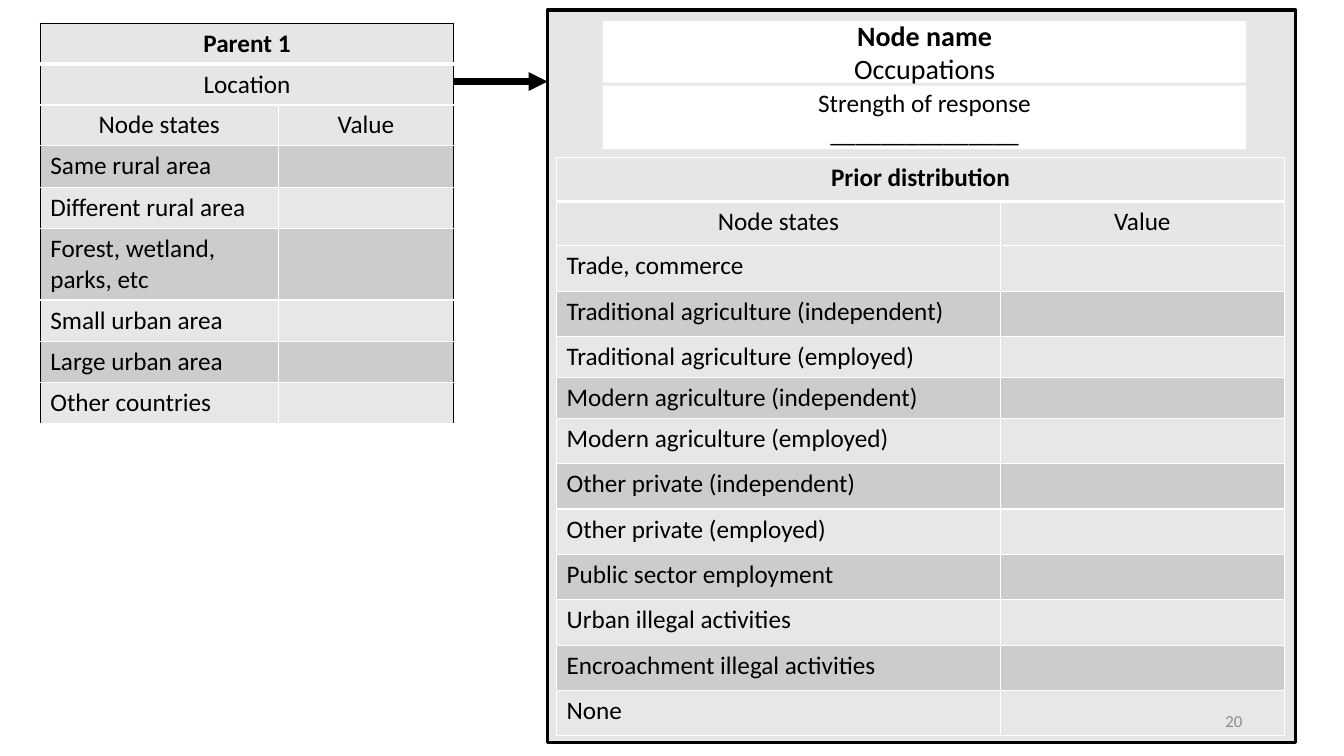
"""Build the slide of the Occupations node with its parent and prior tables."""
from dataclasses import dataclass

from lxml.etree import SubElement
from pptx import Presentation
from pptx.dml.color import RGBColor
from pptx.enum.shapes import MSO_CONNECTOR, MSO_SHAPE
from pptx.enum.text import MSO_ANCHOR, PP_ALIGN
from pptx.oxml.ns import qn
from pptx.util import Inches, Pt

BLACK, WHITE, PANEL = "000000", "FFFFFF", "E7E6E6"
LIGHT, DARK = "E7E7E7", "CCCCCC"


@dataclass
class Line:
    text: str
    size: float = 18
    bold: bool = False
    color: str = BLACK
    align: PP_ALIGN = PP_ALIGN.CENTER


@dataclass
class Box:
    left: float
    top: float
    width: float
    height: float
    lines: tuple[Line, ...] = ()
    fill: str = WHITE
    outline: float = 0


@dataclass
class NodeTable:
    left: float
    top: float
    cols: tuple[float, ...]
    rows: list[float]
    titles: tuple[str, ...]
    states: tuple[str, ...]
    bands: tuple[str, str]
    edge: str


BOXES = (
    Box(5.43, 0.1, 7.42, 7.27, fill=PANEL, outline=2.25),
    Box(5.98, 0.85, 6.38, 0.63, (Line("Strength of response"), Line("_______________"))),
    Box(5.98, 0.21, 6.38, 0.61, (Line("Node name", 20, True), Line("Occupations", 20))),
)
PARENT = NodeTable(
    0.4, 0.23, (2.36, 1.74), [0.36] * 3 + [0.41] * 6, ("Parent 1", "Location"),
    ("Same rural area", "Different rural area", "Forest, wetland, parks, etc",
     "Small urban area", "Large urban area", "Other countries"),
    (DARK, LIGHT), BLACK)
PRIOR = NodeTable(
    5.52, 1.56, (4.4, 2.82), [0.44] * 2 + [0.45] * 2 + [0.39] * 2 + [0.45] * 7,
    ("Prior distribution",),
    ("Trade, commerce", "Traditional agriculture (independent)",
     "Traditional agriculture (employed)", "Modern agriculture (independent)",
     "Modern agriculture (employed)", "Other private (independent)",
     "Other private (employed)", "Public sector employment",
     "Urban illegal activities", "Encroachment illegal activities", "None"),
    (LIGHT, DARK), WHITE)


def rgb(value: str) -> RGBColor:
    return RGBColor.from_string(value)


def write(tf, lines: tuple[Line, ...]) -> None:
    for i, line in enumerate(lines):
        p = tf.add_paragraph() if i else tf.paragraphs[0]
        p.alignment = line.align
        r = p.add_run()
        r.text = line.text
        r.font.name = "Calibri"
        r.font.size = Pt(line.size)
        r.font.bold = line.bold
        r.font.color.rgb = rgb(line.color)


def add_box(s, box: Box) -> None:
    sp = s.shapes.add_shape(MSO_SHAPE.RECTANGLE, Inches(box.left), Inches(box.top),
                            Inches(box.width), Inches(box.height))
    sp.shadow.inherit = False
    sp.fill.solid()
    sp.fill.fore_color.rgb = rgb(box.fill)
    if box.outline:
        sp.line.color.rgb = rgb(BLACK)
        sp.line.width = Pt(box.outline)
    else:
        sp.line.fill.background()
    sp.text_frame.vertical_anchor = MSO_ANCHOR.MIDDLE
    write(sp.text_frame, box.lines)


def add_arrow(s, x1: float, y1: float, x2: float, y2: float) -> None:
    sp = s.shapes.add_connector(MSO_CONNECTOR.ELBOW, Inches(x1), Inches(y1),
                                Inches(x2), Inches(y2))
    sp.line.color.rgb = rgb(BLACK)
    sp.line.width = Pt(4.5)
    SubElement(sp.line._get_or_add_ln(), qn("a:tailEnd"), type="triangle")
    SubElement(sp._element.spPr, qn("a:effectLst"))


def set_border(cell, side: str, color: str, width: float = 1) -> None:
    ln = SubElement(cell._tc.get_or_add_tcPr(), qn(f"a:ln{side}"), w=str(Pt(width)))
    fill = SubElement(ln, qn("a:solidFill"))
    SubElement(fill, qn("a:srgbClr"), val=color)


def add_node_table(s, node: NodeTable) -> None:
    table = s.shapes.add_table(
        len(node.rows), len(node.cols), Inches(node.left), Inches(node.top),
        Inches(sum(node.cols)), Inches(sum(node.rows))).table
    table.first_row = table.horz_banding = False
    for column, width in zip(table.columns, node.cols):
        column.width = Inches(width)
    for row, height in zip(table.rows, node.rows):
        row.height = Inches(height)

    heads = len(node.titles) + 1
    texts = [(title, "") for title in node.titles]
    texts += [("Node states", "Value")] + [(state, "") for state in node.states]
    for i, row in enumerate(texts):
        for j, text in enumerate(row):
            cell = table.cell(i, j)
            set_border(cell, "L", WHITE if j else node.edge)
            set_border(cell, "R", node.edge if j else WHITE)
            set_border(cell, "T", WHITE if i else node.edge, 3 if i == 1 else 1)
            set_border(cell, "B", WHITE, 1 if i else 3)
            cell.fill.solid()
            cell.fill.fore_color.rgb = rgb(PANEL if i < heads else node.bands[(i - heads) % 2])
            if text:
                align = PP_ALIGN.CENTER if i < heads else PP_ALIGN.LEFT
                write(cell.text_frame, (Line(text, bold=i == 0, align=align),))
    for i in range(len(node.titles)):
        table.cell(i, 0).merge(table.cell(i, 1))
        set_border_right(table.cell(i, 0), node.edge)


def set_border_right(cell, color: str) -> None:
    for clr in cell._tc.tcPr.find(qn("a:lnR")).iter(qn("a:srgbClr")):
        clr.set("val", color)


def add_page_number(s, number: str) -> None:
    sp = s.shapes.add_textbox(Inches(9.42), Inches(6.95), Inches(3), Inches(0.4))
    tf = sp.text_frame
    tf.word_wrap = True
    tf.vertical_anchor = MSO_ANCHOR.MIDDLE
    write(tf, (Line(number, 12, color="8C8C8C", align=PP_ALIGN.RIGHT),))


def main() -> None:
    prs = Presentation()
    prs.slide_width, prs.slide_height = Inches(13.33), Inches(7.5)
    s = prs.slides.add_slide(prs.slide_layouts[6])
    add_arrow(s, 3.13, 0.85, 5.43, 0.81)
    for box in BOXES:
        add_box(s, box)
    for node in (PARENT, PRIOR):
        add_node_table(s, node)
    add_page_number(s, "20")
    prs.save("out.pptx")


if __name__ == "__main__":
    main()
